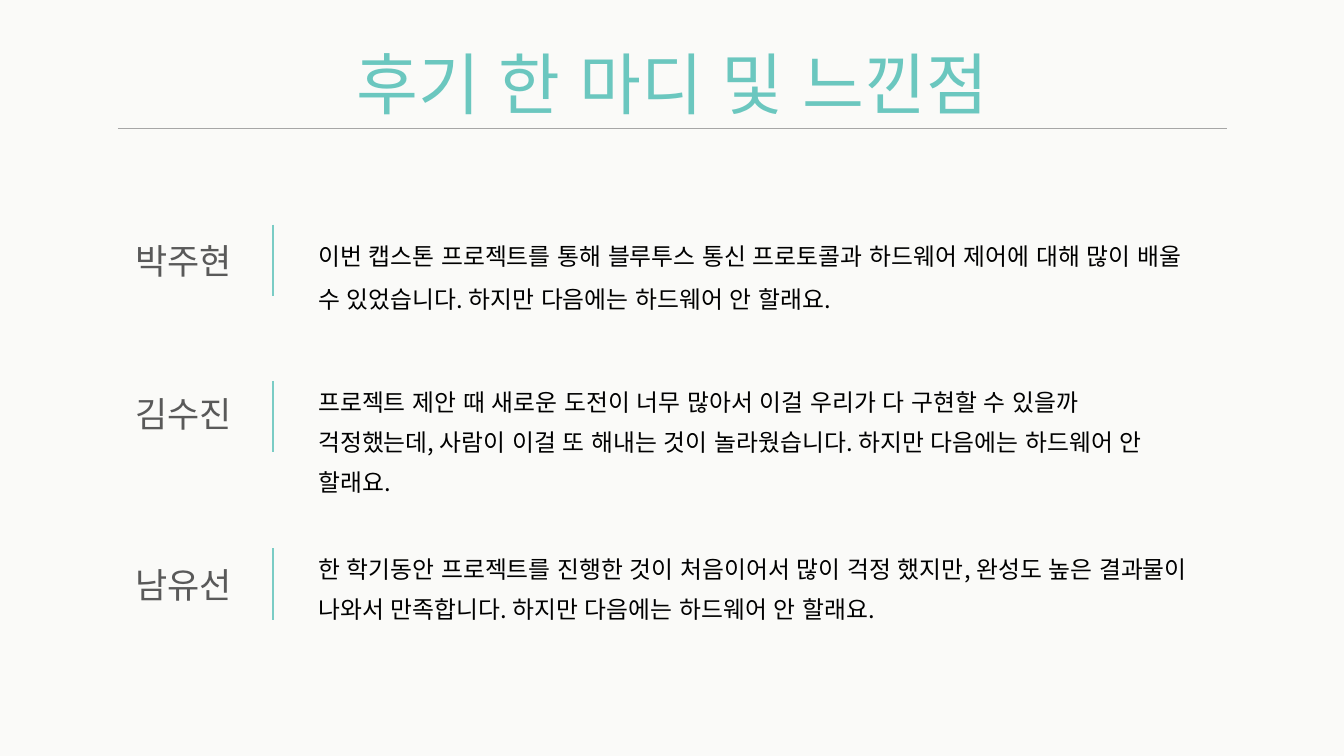
from dataclasses import dataclass

from lxml import etree
from pptx import Presentation
from pptx.dml.color import RGBColor
from pptx.enum.lang import MSO_LANGUAGE_ID
from pptx.enum.shapes import MSO_CONNECTOR
from pptx.enum.text import MSO_ANCHOR, PP_ALIGN
from pptx.oxml.ns import qn
from pptx.util import Cm, Pt

STRAIGHT = MSO_CONNECTOR.STRAIGHT
TOP, MIDDLE = MSO_ANCHOR.TOP, MSO_ANCHOR.MIDDLE
LEFT, CENTER = PP_ALIGN.LEFT, PP_ALIGN.CENTER
KOREAN = MSO_LANGUAGE_ID.KOREAN

FONT = "Noto Sans CJK KR"
PAPER = RGBColor(0xFA, 0xFA, 0xF8)
TEAL = RGBColor(0x6B, 0xC7, 0xBF)
BAR_TEAL = RGBColor(0x7A, 0xCC, 0xC5)
RULE_GRAY = RGBColor(0xA6, 0xA6, 0xA6)
NAME_GRAY = RGBColor(0x59, 0x59, 0x59)
BLACK = RGBColor(0, 0, 0)


@dataclass
class Box:
    left: float
    top: float
    width: float
    height: float


@dataclass
class Review:
    """A reviewer's comment; shifts are vertical offsets from the bar, in cm."""
    bar_top: float
    name: str
    comment: str
    name_shift: float
    comment_shift: float
    line_spacing: float


REVIEWS = [
    Review(5.66, "박주현",
           "이번 캡스톤 프로젝트를 통해 블루투스 통신 프로토콜과 하드웨어 제어에 대해 많이 "
           "배울 수 있었습니다. 하지만 다음에는 하드웨어 안 할래요.", 0, -0.05, 1.5),
    Review(9.6, "김수진",
           "프로젝트 제안 때 새로운 도전이 너무 많아서 이걸 우리가 다 구현할 수 있을까 "
           "걱정했는데, 사람이 이걸 또 해내는 것이 놀라웠습니다. "
           "하지만 다음에는 하드웨어 안 할래요.", -0.07, -0.25, 1.4),
    Review(13.82, "남유선",
           "한 학기동안 프로젝트를 진행한 것이 처음이어서 많이 걱정 했지만, 완성도 높은 "
           "결과물이 나와서 만족합니다. 하지만 다음에는 하드웨어 안 할래요.", 0, -0.26, 1.4),
]


def add_line(page, start, end, color, weight):
    line = page.shapes.add_connector(STRAIGHT, *(Cm(value) for value in start + end))
    line.line.color.rgb = color
    line.line.width = Pt(weight)
    etree.SubElement(line._element.spPr, qn("a:effectLst"))


def add_text(page, box, text, size, color, align=LEFT, anchor=TOP, wrap=True):
    """Add a one-paragraph text box and return its paragraph."""
    shape = page.shapes.add_textbox(Cm(box.left), Cm(box.top), Cm(box.width), Cm(box.height))
    frame = shape.text_frame
    frame.word_wrap = wrap
    frame.vertical_anchor = anchor
    para = frame.paragraphs[0]
    para.alignment = align
    span = para.add_run()
    span.text = text
    span.font.size = Pt(size)
    span.font.color.rgb = color
    span.font.name = FONT
    span.font.language_id = KOREAN
    east_asian = etree.SubElement(span.font._element, qn("a:ea"))
    east_asian.set("typeface", FONT)
    return para


def add_header(page, box):
    """Place the centred title with a rule along the bottom of the box."""
    add_text(page, box, "후기 한 마디 및 느낀점", 48, TEAL, CENTER, wrap=False)
    bottom = box.top + box.height
    add_line(page, (box.left, bottom), (box.left + box.width, bottom), RULE_GRAY, 0.75)


def add_review(page, box, review):
    """Place the name, the dividing bar and the comment from left to right."""
    name_width, gap = 4.47, 0.9
    bar_left = box.left + name_width
    comment_left = bar_left + gap

    name_box = Box(box.left, box.top + review.name_shift, name_width, box.height)
    add_text(page, name_box, review.name, 25, NAME_GRAY, CENTER, MIDDLE)

    add_line(page, (bar_left, box.top), (bar_left, box.top + box.height), BAR_TEAL, 1.5)

    comment_box = Box(comment_left, box.top + review.comment_shift,
                      box.left + box.width - comment_left, 2.31)
    para = add_text(page, comment_box, review.comment, 17, BLACK)
    para.line_spacing = review.line_spacing
    para.space_before = Pt(10)


def main():
    deck = Presentation()
    deck.slide_width, deck.slide_height = Cm(33.87), Cm(19.05)
    page = deck.slides.add_slide(deck.slide_layouts[6])
    page.background.fill.solid()
    page.background.fill.fore_color.rgb = PAPER

    add_header(page, Box(2.97, 0.94, 27.94, 2.31))
    for review in REVIEWS:
        add_review(page, Box(2.4, review.bar_top, 27.83, 1.8), review)

    deck.save("out.pptx")


if __name__ == "__main__":
    main()
